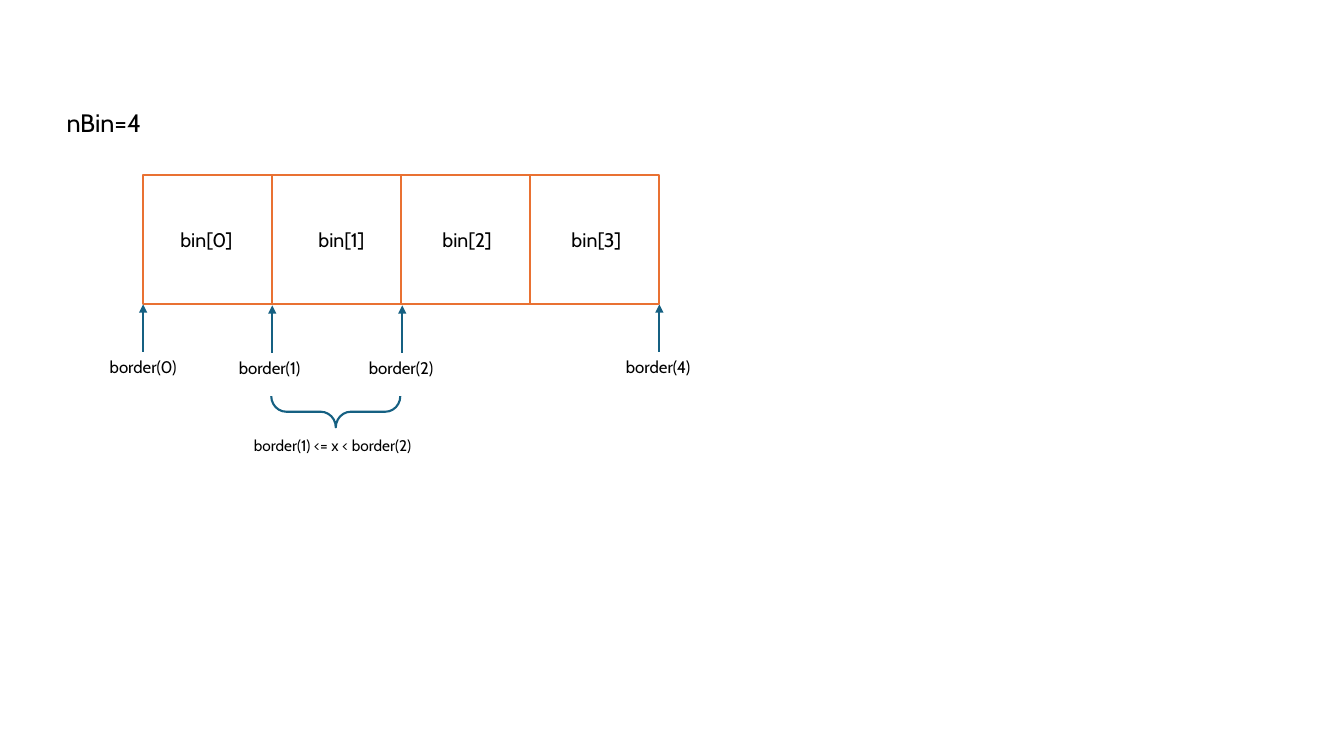
from lxml.etree import SubElement
from pptx import Presentation
from pptx.dml.color import RGBColor
from pptx.enum.shapes import MSO_CONNECTOR, MSO_SHAPE
from pptx.enum.text import MSO_ANCHOR, MSO_AUTO_SIZE, PP_ALIGN
from pptx.oxml.ns import qn
from pptx.util import Inches, Pt

WHITE = RGBColor(0xFF, 0xFF, 0xFF)
BLACK = RGBColor(0x00, 0x00, 0x00)
ORANGE = RGBColor(0xE9, 0x71, 0x32)
TEAL = RGBColor(0x15, 0x60, 0x82)
FONT = "Cabin"
CELL = 1.28
INSETS = [0.27, 0.36, 0.31, 0.31]
BORDERS = {0: (0, 0), 1: (0, 0.01), 2: (0.01, 0.01), 4: (0, 0)}


def write(shape, text, size, wrap=False):
    """Fill a shape with one left-aligned line of text."""
    frame = shape.text_frame
    frame.text = text
    frame.word_wrap = wrap
    frame.auto_size = MSO_AUTO_SIZE.SHAPE_TO_FIT_TEXT
    frame.vertical_anchor = MSO_ANCHOR.TOP
    line = frame.paragraphs[0]
    line.alignment = PP_ALIGN.LEFT
    line.font.name = FONT
    line.font.size = Pt(size)
    line.font.color.rgb = BLACK


def label(slide, text, size, box, wrap=False):
    """Add a text box with one line of text."""
    write(slide.shapes.add_textbox(*map(Inches, box)), text, size, wrap)


def outline(shape, color):
    """Set the color and width of a line."""
    shape.line.color.rgb = color
    shape.line.width = Pt(1.5)


def head(slide, text, box):
    """Place the title in its box."""
    title = slide.shapes.title
    title.left, title.top, title.width, title.height = map(Inches, box)
    write(title, text, 18)


def bins(slide, left, top):
    """Draw the row of bins with their names."""
    for i, inset in enumerate(INSETS):
        x = left + i * CELL
        cell = slide.shapes.add_shape(
            MSO_SHAPE.RECTANGLE, *map(Inches, (x, top, CELL, CELL)))
        cell.shadow.inherit = False
        cell.fill.solid()
        cell.fill.fore_color.rgb = WHITE
        outline(cell, ORANGE)
        label(slide, f"bin[{i}]", 14, (x + inset, top + 0.47, 0.73, 0.34), True)


def arrow(slide, x, top, size):
    """Draw an arrow that points up to the given top."""
    line = slide.shapes.add_connector(
        MSO_CONNECTOR.STRAIGHT, *map(Inches, (x, top + size, x, top)))
    outline(line, TEAL)
    SubElement(line.line._get_or_add_ln(), qn("a:tailEnd"), type="triangle")
    SubElement(line._element.spPr, qn("a:effectLst"))


def borders(slide, left, top):
    """Mark the borders below the row with arrows and names."""
    for i, (right, down) in BORDERS.items():
        x, y = left + i * CELL + right, top + down
        arrow(slide, x, y, 0.47)
        label(slide, f"border({i})", 12, (x - 0.43, y + 0.47, 0.87, 0.3))


def span(slide, left, top):
    """Draw the brace below one bin with its range."""
    depth = 0.31
    x, y = left + (CELL - depth) / 2, top - (CELL - depth) / 2
    brace = slide.shapes.add_shape(
        MSO_SHAPE.RIGHT_BRACE, *map(Inches, (x, y, depth, CELL)))
    brace.rotation = 90
    brace.adjustments[0] = 0.48
    brace.shadow.inherit = False
    brace.fill.background()
    outline(brace, TEAL)
    label(slide, "border(1) <= x < border(2)", 11,
          (left - 0.27, top + 0.35, 1.9, 0.29))


def main():
    """Build and save the slide."""
    deck = Presentation()
    deck.slide_width, deck.slide_height = Inches(13.33), Inches(7.5)
    slide = deck.slides.add_slide(deck.slide_layouts[5])
    left, top = 1.42, 1.74
    head(slide, "nBin=4", (0.56, 1.01, 0.96, 0.4))
    bins(slide, left, top)
    borders(slide, left, top + CELL)
    span(slide, left + CELL - 0.01, top + CELL + 0.91)
    deck.save("out.pptx")


if __name__ == "__main__":
    main()
